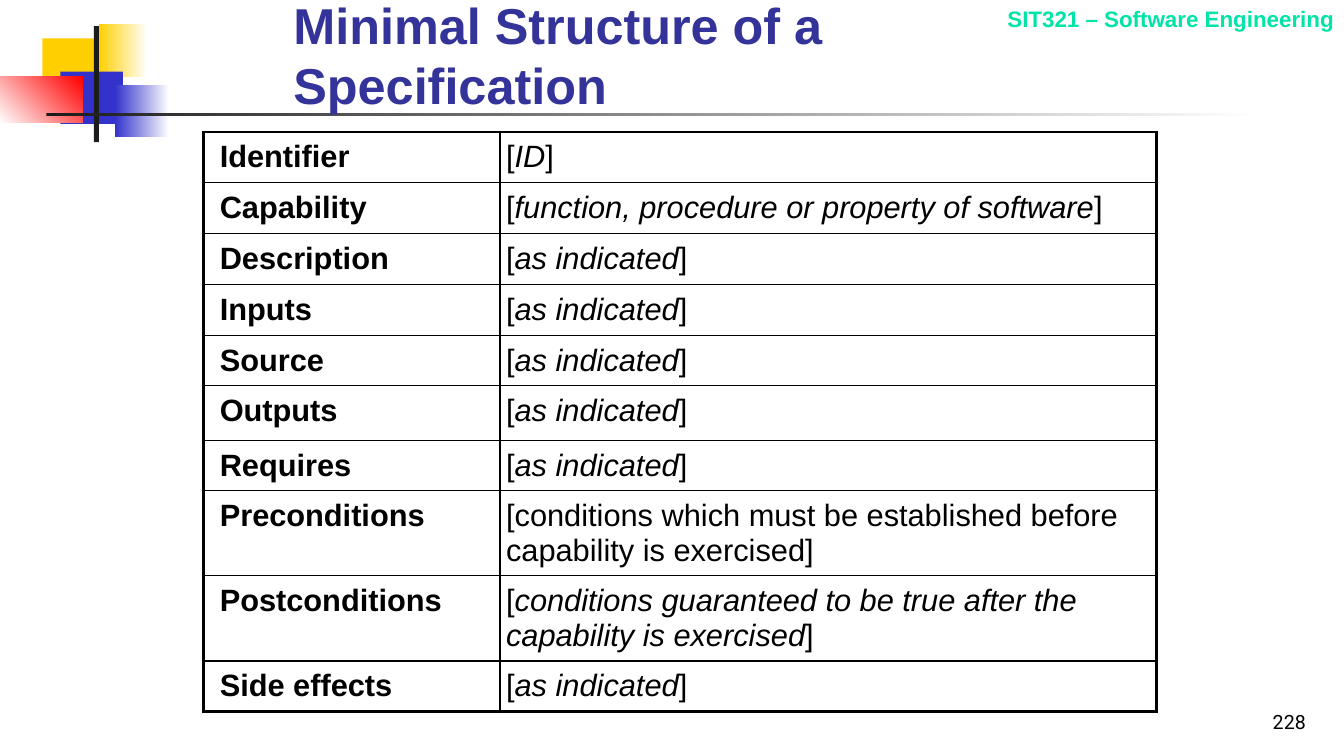
from pptx import Presentation
from pptx.dml.color import RGBColor
from pptx.enum.shapes import MSO_SHAPE
from pptx.enum.text import MSO_ANCHOR, PP_ALIGN
from pptx.oxml import parse_xml
from pptx.oxml.ns import nsdecls
from pptx.util import Inches, Pt

YELLOW, BLUE, RED, DARK, WHITE = "FFCF01", "3333CC", "FF0000", "1C1C1C", "FFFFFF"
BLACK = "000000"
THIN, THICK = 1, 2.25

# Left, top, width, height, colours (two make a gradient), gradient angle
DECORATION = [
    (0.42, 0.38, 0.64, 0.52, [YELLOW], 0),
    (0.98, 0.24, 0.48, 0.52, [YELLOW, WHITE], 0),
    (0.6, 0.71, 0.62, 0.52, [BLUE], 0),
    (1.14, 0.84, 0.54, 0.52, [BLUE, WHITE], 0),
    (0, 0.76, 0.82, 0.46, [WHITE, RED], 45),
    (0.93, 0.26, 0.05, 1.15, [DARK], 0),
    (0.46, 1.12, 12, 0.03, [DARK, WHITE], 0),
]

# Label, opening plain text, italic text, closing plain text, row height
INDICATED = ("[", "as indicated", "]")
FIELDS = [
    ("Identifier", ("[", "ID", "]"), 0.5),
    ("Capability", ("[", "function, procedure or property of software", "]"), 0.5),
    ("Description", INDICATED, 0.51),
    ("Inputs", INDICATED, 0.5),
    ("Source", INDICATED, 0.5),
    ("Outputs", INDICATED, 0.54),
    ("Requires", INDICATED, 0.5),
    ("Preconditions",
     ("[conditions which must be established before capability is exercised]",), 0.84),
    ("Postconditions",
     ("[", "conditions guaranteed to be true after the capability is exercised", "]"), 0.84),
    ("Side effects", INDICATED, 0.5),
]


def rgb(colour):
    return RGBColor.from_string(colour)


def style_run(r, size, colour, font="Arial", bold=False, italic=False):
    r.font.name = font
    r.font.size = Pt(size)
    r.font.color.rgb = rgb(colour)
    r.font.bold = bold
    r.font.italic = italic


def add_block(s, left, top, width, height, colours, angle):
    sp = s.shapes.add_shape(MSO_SHAPE.RECTANGLE, Inches(left), Inches(top),
                            Inches(width), Inches(height))
    sp.shadow.inherit = False
    sp.line.fill.background()
    if len(colours) == 1:
        sp.fill.solid()
        sp.fill.fore_color.rgb = rgb(colours[0])
    else:
        sp.fill.gradient()
        sp.fill.gradient_angle = angle
        for stop, colour in zip(sp.fill.gradient_stops, colours):
            stop.color.rgb = rgb(colour)


def add_right_text(s, text, left, top, width, height, anchor, **style):
    tf = s.shapes.add_textbox(Inches(left), Inches(top), Inches(width),
                              Inches(height)).text_frame
    tf.word_wrap = True
    tf.vertical_anchor = anchor
    tf.text = text
    p = tf.paragraphs[0]
    p.alignment = PP_ALIGN.RIGHT
    style_run(p.runs[0], **style)


def set_title(s, text):
    title = s.shapes.title
    title.left, title.top = Inches(2.81), Inches(0.44)
    title.width, title.height = Inches(8.7), Inches(0.75)
    tf = title.text_frame
    tf.text = text
    tf.vertical_anchor = MSO_ANCHOR.BOTTOM
    p = tf.paragraphs[0]
    p.alignment = PP_ALIGN.LEFT
    style_run(p.runs[0], 36, "333399", bold=True)
    # Bring the title in front of the decoration
    title.element.getparent().append(title.element)


def set_borders(cell, **widths):
    tcPr = cell._tc.get_or_add_tcPr()
    for side in "LRTB":
        tcPr.append(parse_xml(
            f'<a:ln{side} {nsdecls("a")} w="{Pt(widths[side])}"><a:solidFill>'
            f'<a:srgbClr val="{BLACK}"/></a:solidFill></a:ln{side}>'))


def fill_cell(cell, texts, inset, bold):
    """Write the texts as runs, every second one in italics."""
    cell.fill.background()
    cell.margin_left, cell.margin_right = Inches(inset), 0
    cell.margin_top = cell.margin_bottom = Inches(0.08)
    p = cell.text_frame.paragraphs[0]
    for i, text in enumerate(texts):
        r = p.add_run()
        r.text = text
        style_run(r, 22, BLACK, bold=bold, italic=i % 2 == 1)


def add_field_table(s):
    height = sum(field[-1] for field in FIELDS)
    table = s.shapes.add_table(len(FIELDS), 2, Inches(2.02), Inches(1.31),
                               Inches(9.45), Inches(height)).table
    table.first_row = table.horz_banding = False
    table.columns[0].width, table.columns[1].width = Inches(2.94), Inches(6.51)
    last = len(FIELDS) - 1
    for i, (label, content, row_height) in enumerate(FIELDS):
        table.rows[i].height = Inches(row_height)
        for j, texts in enumerate([(label,), content]):
            cell = table.cell(i, j)
            set_borders(cell, L=THICK if j == 0 else THIN, R=THICK if j == 1 else THIN,
                        T=THICK if i == 0 else THIN, B=THICK if i == last else THIN)
            fill_cell(cell, texts, inset=0.16 if j == 0 else 0.06, bold=j == 0)


def main():
    prs = Presentation()
    prs.slide_width, prs.slide_height = Inches(13.33), Inches(7.5)
    s = prs.slides.add_slide(prs.slide_layouts[5])
    for block in DECORATION:
        add_block(s, *block)
    add_right_text(s, "SIT321 – Software Engineering", 8.03, 0, 5.3, 0.37,
                   MSO_ANCHOR.TOP, size=16, colour="00E4A8", bold=True)
    add_right_text(s, "228", 10.27, 6.83, 2.78, 0.5, MSO_ANCHOR.BOTTOM,
                   size=14, colour=BLACK, font="Roboto")
    set_title(s, "Minimal Structure of a Specification")
    add_field_table(s)
    prs.save("out.pptx")


if __name__ == "__main__":
    main()
